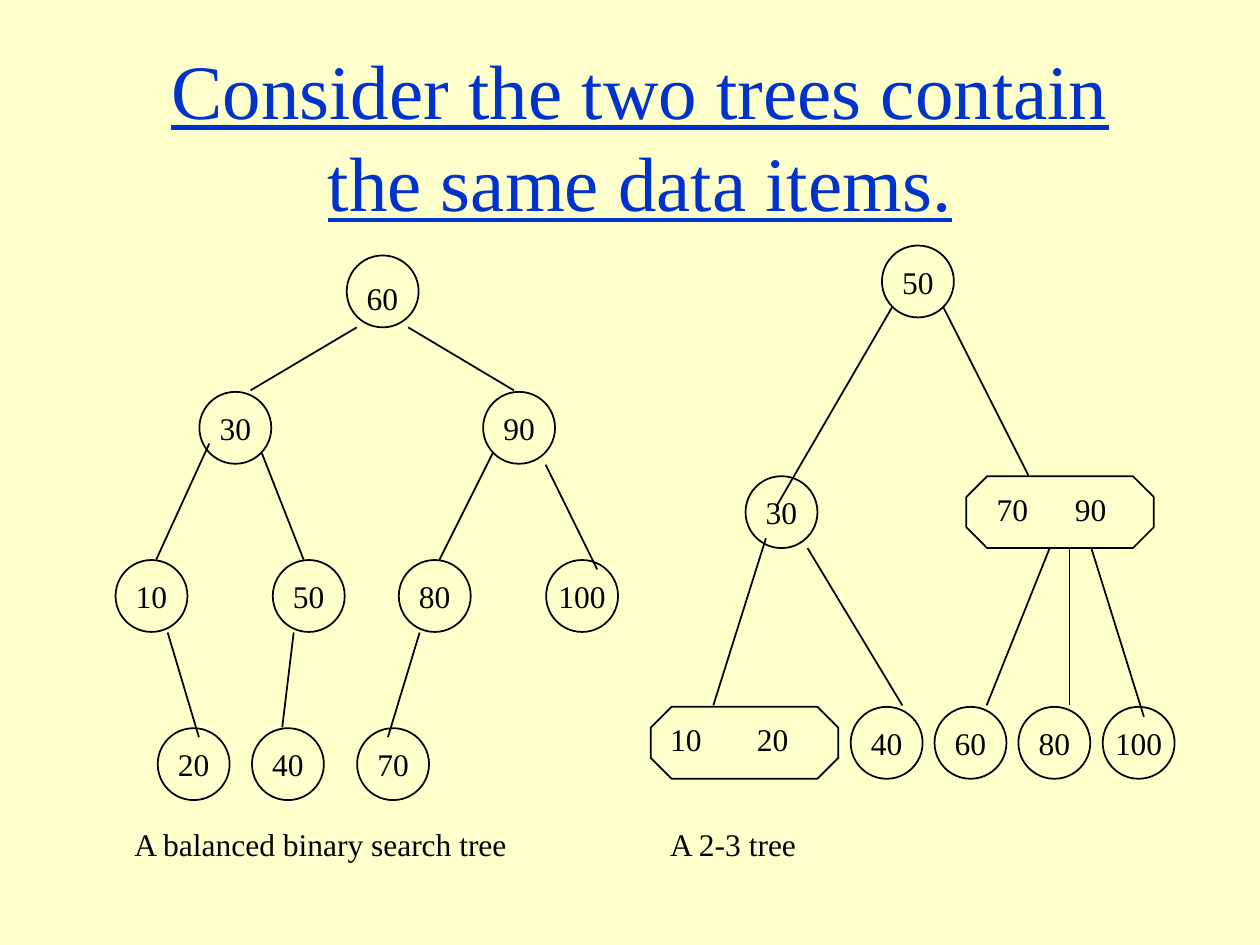
from lxml import etree
from pptx import Presentation
from pptx import util as u
from pptx.dml.color import RGBColor
from pptx.enum import shapes, text
from pptx.oxml.ns import qn

CREAM = RGBColor(0xFF, 0xFF, 0xCC)
BLUE = RGBColor(0x00, 0x33, 0xCC)
BLACK = RGBColor(0x00, 0x00, 0x00)
FONT = "Times New Roman"
NODE = 1.45  # node height, and the diameter of a circle
WIDE = 3.78  # width of a two-key node

# Each level: top, then (left, key) of its circles
BINARY_LEVELS = [
    (5.15, [(6.99, "")]),
    (7.9, [(4.02, "30"), (9.74, "90")]),
    (11.29, [(2.33, "10"), (5.5, "50"), (8.04, "80"), (11.01, "100")]),
    (14.68, [(3.18, "20"), (5.08, "40"), (7.2, "70")]),
]
TWO_THREE_LEVELS = [
    (4.95, [(17.78, "50")]),
    (9.6, [(15.03, "30")]),
    (14.25, [(17.15, "40"), (18.84, "60"), (20.53, "80"), (22.23, "100")]),
]
# Left, top, label left, label top, keys, distance between keys
TWO_KEY_NODES = [
    (19.48, 9.6, 19.84, 9.75, "70\t90", 1.58),
    (13.12, 14.25, 13.26, 14.4, "10\t20", 1.75),
]
# Parent x, y, child x, y
BINARY_EDGES = [
    (7.19, 6.6, 5.05, 7.87), (8.23, 6.6, 10.36, 7.87),
    (4.22, 8.94, 3.15, 11.28), (5.28, 9.14, 6.12, 11.28),
    (9.93, 9.14, 8.86, 11.28), (11, 9.37, 12.04, 11.48),
    (3.38, 12.75, 4.01, 14.86), (5.92, 12.75, 5.69, 14.66),
    (8.46, 12.75, 7.82, 14.86),
]
TWO_THREE_EDGES = [
    (17.98, 6.2, 15.65, 10.21), (19.02, 6.2, 20.73, 9.58),
    (15.44, 10.85, 14.38, 14.22), (16.28, 11.05, 18.19, 14.22),
    (21.16, 11.05, 19.89, 14.22), (21.56, 11.05, 21.56, 14.22),
    (22, 11.05, 23.06, 14.45),
]


def add_run(p, words, size=18, color=BLACK):
    """Append a formatted run to a paragraph and return it."""
    r = p.add_run()
    r.text = words
    r.font.name = FONT
    r.font.size = u.Pt(size)
    r.font.color.rgb = color
    return r


def add_title(s, words):
    """Place and fill the title placeholder."""
    sp = s.shapes.title
    sp.left, sp.top, sp.width, sp.height = map(u.Cm, (2.11, 1.12, 21.59, 3.18))
    tf = sp.text_frame
    tf.auto_size = text.MSO_AUTO_SIZE.NONE
    tf.vertical_anchor = text.MSO_ANCHOR.MIDDLE
    p = tf.paragraphs[0]
    p.alignment = text.PP_ALIGN.CENTER
    add_run(p, words, 44, BLUE).font.underline = True


def add_node(s, kind, left, top, width=NODE, key=""):
    """Draw an outlined tree node, with its key centred if it has one."""
    sp = s.shapes.add_shape(kind, u.Cm(left), u.Cm(top), u.Cm(width), u.Cm(NODE))
    sp.shadow.inherit = False
    sp.fill.background()
    sp.line.color.rgb = BLACK
    sp.line.width = u.Pt(1)
    if key:
        tf = sp.text_frame
        tf.word_wrap = False
        tf.vertical_anchor = text.MSO_ANCHOR.MIDDLE
        p = tf.paragraphs[0]
        p.alignment = text.PP_ALIGN.CENTER
        add_run(p, key)
    return sp


def add_edge(s, x1, y1, x2, y2):
    """Draw a line from a parent to a child."""
    line = s.shapes.add_connector(shapes.MSO_CONNECTOR.STRAIGHT,
                                  u.Cm(x1), u.Cm(y1), u.Cm(x2), u.Cm(y2))
    line.line.color.rgb = BLACK
    line.line.width = u.Pt(1)
    etree.SubElement(line._element.spPr, qn("a:effectLst"))


def add_label(s, left, top, width, words, tab=None):
    """Add a left-aligned text box, with a tab stop if one is given."""
    sp = s.shapes.add_textbox(u.Cm(left), u.Cm(top), u.Cm(width), u.Cm(1.27))
    tf = sp.text_frame
    tf.word_wrap = True
    p = tf.paragraphs[0]
    if tab:
        tabs = etree.SubElement(p._p.get_or_add_pPr(), qn("a:tabLst"))
        etree.SubElement(tabs, qn("a:tab"), pos=str(u.Cm(tab)), algn="l")
    add_run(p, words)


def add_tree(s, levels, edges):
    """Draw the edges and the circles of one tree."""
    for edge in edges:
        add_edge(s, *edge)
    for top, nodes in levels:
        for left, key in nodes:
            add_node(s, shapes.MSO_SHAPE.OVAL, left, top, key=key)


def main():
    """Build the slide with both trees."""
    prs = Presentation()
    prs.slide_width, prs.slide_height = u.Cm(25.4), u.Cm(19.05)
    s = prs.slides.add_slide(prs.slide_layouts[5])
    s.background.fill.solid()
    s.background.fill.fore_color.rgb = CREAM
    add_title(s, "Consider the two trees contain the same data items.")

    add_tree(s, BINARY_LEVELS, BINARY_EDGES)
    add_label(s, 7.14, 5.51, 1.35, "60")
    add_label(s, 2.46, 16.51, 10.57, "A balanced binary search tree")

    add_tree(s, TWO_THREE_LEVELS, TWO_THREE_EDGES)
    for left, top, label_left, label_top, keys, gap in TWO_KEY_NODES:
        sp = add_node(s, shapes.MSO_SHAPE.OCTAGON, left, top, WIDE)
        sp.adjustments[0] = 0.29
        add_label(s, label_left, label_top, 3.5, keys, gap)
    add_label(s, 13.26, 16.51, 4.17, "A 2-3 tree")
    prs.save("out.pptx")


main()
